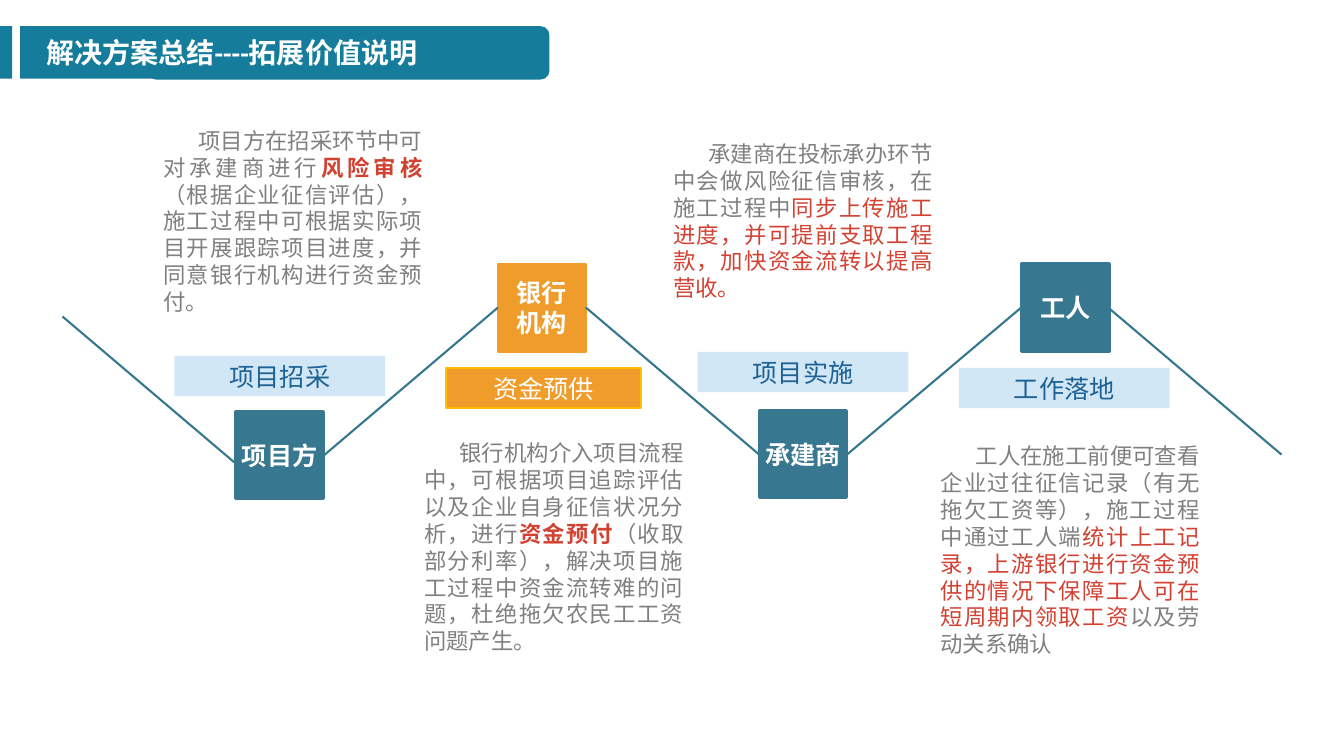
from dataclasses import dataclass

from lxml.etree import SubElement
from pptx import Presentation
from pptx.dml.color import RGBColor
from pptx.enum.shapes import MSO_CONNECTOR, MSO_SHAPE
from pptx.enum.text import MSO_ANCHOR, PP_ALIGN
from pptx.oxml.ns import qn
from pptx.util import Inches, Pt


@dataclass(frozen=True)
class Theme:
    """Colours, fonts and type sizes of the slide."""
    teal: str = "377790"
    banner: str = "167C9C"
    orange: str = "F09C2A"
    gold: str = "FFC000"
    pale: str = "D1E7F6"
    navy: str = "1D6294"
    grey: str = "808080"
    red: str = "D24132"
    white: str = "FFFFFF"
    font: str = "Noto Sans CJK SC"
    title_font: str = "Calibri"
    title_size: int = 20
    label_size: int = 18
    body_size: int = 16


THEME = Theme()
SQUARE = 0.87

ROLES = [
    ("项目方", 2.34, 4.08, THEME.teal, 2.25, (1.21, 0.4)),
    ("银行机构", 4.94, 2.62, THEME.orange, 1.5, (0.79, 0.71)),
    ("承建商", 7.53, 4.07, THEME.teal, 2.25, (1.21, 0.4)),
    ("工人", 10.13, 2.62, THEME.teal, 2.25, (1.21, 0.4)),
]

LINKS = [
    (0.62, 3.14, 2.34, 4.6),
    (3.21, 4.52, 4.94, 3.05),
    (5.81, 3.05, 7.53, 4.51),
    (8.4, 4.51, 10.13, 3.05),
    (10.99, 3.05, 12.71, 4.51),
]

STAGES = [
    ("项目招采", 1.73, 3.53, 2.09, THEME.pale, None, THEME.navy),
    ("资金预供", 4.42, 3.65, 1.94, THEME.orange, THEME.gold, THEME.white),
    ("项目实施", 6.92, 3.49, 2.09, THEME.pale, None, THEME.navy),
    ("工作落地", 9.51, 3.65, 2.09, THEME.pale, None, THEME.navy),
]

NOTES = [
    (1.52, 1.21, 1.98, [
        ("项目方在招采环节中可对承建商进行", THEME.grey, False),
        ("风险审核", THEME.red, True),
        ("（根据企业征信评估），施工过程中可根据实际项目开展跟踪项目进度，"
         "并同意银行机构进行资金预付。", THEME.grey, False)]),
    (4.11, 4.31, 2.25, [
        ("银行机构介入项目流程中，可根据项目追踪评估以及企业自身征信状况分析，进行",
         THEME.grey, False),
        ("资金预付", THEME.red, True),
        ("（收取部分利率），解决项目施工过程中资金流转难的问题，"
         "杜绝拖欠农民工工资问题产生。", THEME.grey, False)]),
    (6.58, 1.34, 1.72, [
        ("承建商在投标承办环节中会做风险征信审核，在施工过程中", THEME.grey, False),
        ("同步上传施工进度，并可提前支取工程款，加快资金流转以提高营收。",
         THEME.red, False)]),
    (9.23, 4.34, 2.26, [
        ("工人在施工前便可查看企业过往征信记录（有无拖欠工资等），"
         "施工过程中通过工人端", THEME.grey, False),
        ("统计上工记录，上游银行进行资金预供的情况下保障工人可在短周期内领取工资",
         THEME.red, False),
        ("以及劳动关系确认", THEME.grey, False)]),
]


def set_font(paragraph, size, name=THEME.font):
    """Give a paragraph its type size and its Latin and East Asian fonts."""
    paragraph.font.size = Pt(size)
    paragraph.font.name = name
    properties = paragraph._p.get_or_add_pPr().get_or_add_defRPr()
    SubElement(properties, qn("a:ea")).set("typeface", THEME.font)


def write_line(shape, text, size, color, bold=False, align=PP_ALIGN.CENTER, name=THEME.font):
    """Write one uniformly styled paragraph into a shape."""
    shape.text_frame.word_wrap = True
    paragraph = shape.text_frame.paragraphs[0]
    paragraph.text = text
    paragraph.alignment = align
    paragraph.font.color.rgb = RGBColor.from_string(color)
    paragraph.font.bold = bold
    set_font(paragraph, size, name)


def add_box(slide, left, top, width, height, fill, line=None, line_width=1.5,
            kind=MSO_SHAPE.RECTANGLE):
    """Add a flat filled shape with an optional outline."""
    shape = slide.shapes.add_shape(kind, Inches(left), Inches(top), Inches(width), Inches(height))
    shape.shadow.inherit = False
    shape.fill.solid()
    shape.fill.fore_color.rgb = RGBColor.from_string(fill)
    if line:
        shape.line.color.rgb = RGBColor.from_string(line)
        shape.line.width = Pt(line_width)
    else:
        shape.line.fill.background()
    return shape


def add_text(slide, left, top, width, height):
    """Add an empty wrapping text box."""
    box = slide.shapes.add_textbox(Inches(left), Inches(top), Inches(width), Inches(height))
    box.text_frame.word_wrap = True
    return box


def add_link(slide, x1, y1, x2, y2):
    """Add a thin straight connector without a shadow."""
    link = slide.shapes.add_connector(
        MSO_CONNECTOR.STRAIGHT, Inches(x1), Inches(y1), Inches(x2), Inches(y2))
    link.line.color.rgb = RGBColor.from_string(THEME.teal)
    link.line.width = Pt(1.5)
    SubElement(link._element.spPr, qn("a:effectLst"))


def add_role_label(slide, text, left, top, size):
    """Add a bold label centred on a role square."""
    width, height = size
    box = add_text(slide, left + (SQUARE - width) / 2, top + (SQUARE - height) / 2, width, height)
    write_line(box, text, THEME.label_size, THEME.white, bold=True)


def add_stage(slide, text, left, top, width, fill, line, color):
    """Add a stage tag with its name."""
    tag = add_box(slide, left, top, width, 0.4, fill, line)
    tag.text_frame.vertical_anchor = MSO_ANCHOR.MIDDLE
    write_line(tag, text, THEME.label_size, color)


def add_note(slide, left, top, height, runs):
    """Add a justified note with an indented first line and coloured runs."""
    box = add_text(slide, left, top, 2.77, height)
    paragraph = box.text_frame.paragraphs[0]
    paragraph.alignment = PP_ALIGN.JUSTIFY
    paragraph._p.get_or_add_pPr().set("indent", str(Inches(0.35)))
    set_font(paragraph, THEME.body_size)
    for text, color, bold in runs:
        run = paragraph.add_run()
        run.text = text
        run.font.color.rgb = RGBColor.from_string(color)
        run.font.bold = bold


def add_title(slide, text):
    """Add the title banner with its edge marker."""
    add_box(slide, -0.01, 0.26, 0.13, 0.52, THEME.banner)
    add_box(slide, 0.2, 0.26, 1.35, 0.52, THEME.banner)
    add_box(slide, 1.46, 0.26, 3.99, 0.53, THEME.banner, kind=MSO_SHAPE.ROUNDED_RECTANGLE)
    box = add_text(slide, 0.36, 0.3, 5.09, 0.44)
    write_line(box, text, THEME.title_size, THEME.white, True, PP_ALIGN.LEFT, THEME.title_font)


def main():
    """Build the slide and save it."""
    presentation = Presentation()
    presentation.slide_width = Inches(13.33)
    presentation.slide_height = Inches(7.5)
    slide = presentation.slides.add_slide(presentation.slide_layouts[6])
    for _, left, top, color, line_width, _ in ROLES:
        add_box(slide, left, top, SQUARE, SQUARE, color, color, line_width)
    for link in LINKS:
        add_link(slide, *link)
    for text, left, top, _, _, size in ROLES:
        add_role_label(slide, text, left, top, size)
    for stage in STAGES:
        add_stage(slide, *stage)
    for note in NOTES:
        add_note(slide, *note)
    add_title(slide, "解决方案总结----拓展价值说明")
    presentation.save("out.pptx")


if __name__ == "__main__":
    main()
